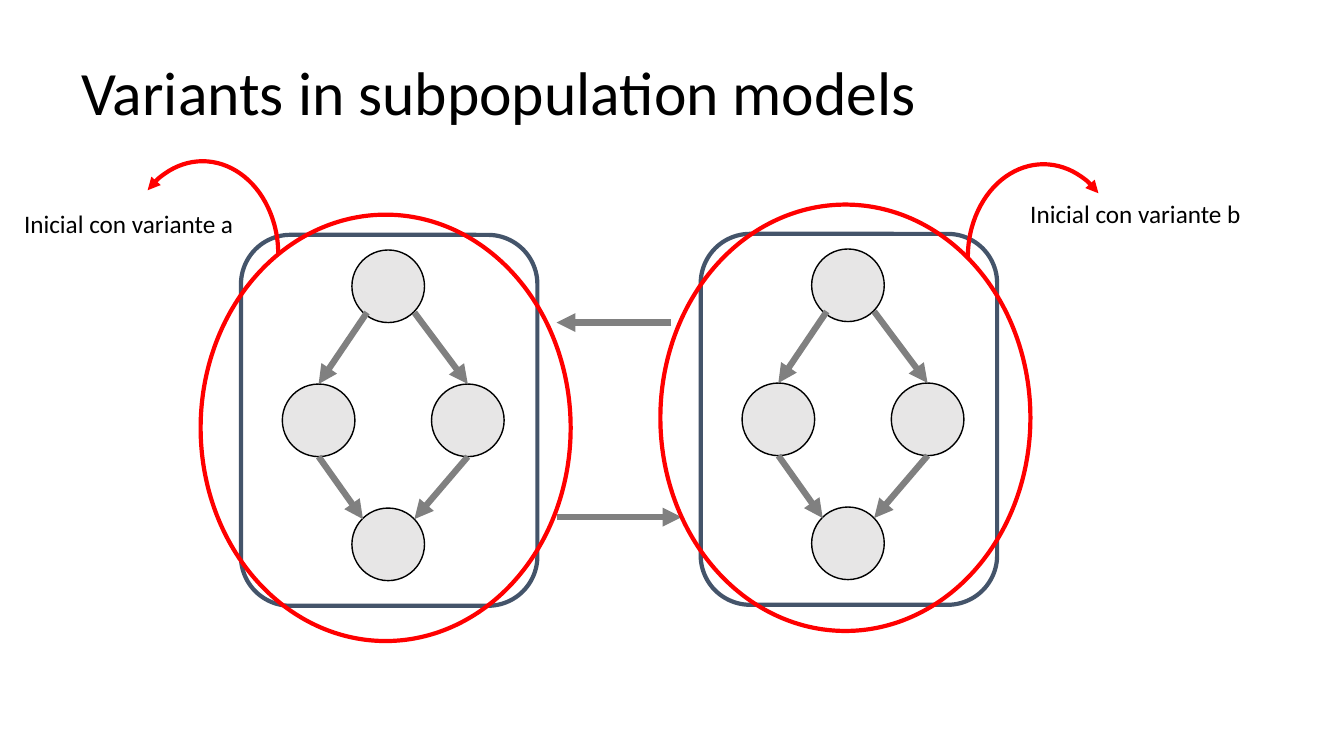
"""Build a slide of two linked subpopulation models with their variants."""
from lxml import etree
from pptx import Presentation
from pptx.dml.color import RGBColor
from pptx.enum.shapes import MSO_CONNECTOR, MSO_SHAPE
from pptx.enum.text import MSO_ANCHOR
from pptx.oxml.ns import qn
from pptx.util import Inches, Pt

COLORS = {"text": "000000", "box": "44546A", "node": "E7E6E6",
          "arrow": "808080", "variant": "FF0000", "white": "FFFFFF"}
NODE = 0.72


class Deck:
    def __init__(self, slide, font="Calibri"):
        self.s = slide
        self.font = font

    def color(self, name):
        return RGBColor.from_string(COLORS[name])

    def text(self, text, x, y, w, h, size, anchor=MSO_ANCHOR.TOP, spacing=1.0):
        tf = self.s.shapes.add_textbox(Inches(x), Inches(y), Inches(w), Inches(h)).text_frame
        tf.word_wrap = True
        tf.vertical_anchor = anchor
        tf.text = text
        p = tf.paragraphs[0]
        p.line_spacing = spacing
        r = p.runs[0]
        r.font.name = self.font
        r.font.size = Pt(size)
        r.font.color.rgb = self.color("text")

    def shape(self, kind, x, y, w, h, line, width, fill=None):
        sp = self.s.shapes.add_shape(kind, Inches(x), Inches(y), Inches(w), Inches(h))
        sp.shadow.inherit = False
        if fill:
            sp.fill.solid()
            sp.fill.fore_color.rgb = self.color(fill)
        else:
            sp.fill.background()
        sp.line.color.rgb = self.color(line)
        sp.line.width = Pt(width)
        return sp

    def node(self, x, y):
        return self.shape(MSO_SHAPE.OVAL, x, y, NODE, NODE, "text", 1, "node")

    def arrow(self, x1, y1, x2, y2, target=None):
        c = self.s.shapes.add_connector(MSO_CONNECTOR.STRAIGHT, Inches(x1), Inches(y1),
                                        Inches(x2), Inches(y2))
        if target is not None:
            c.end_connect(target, 0)
        c.line.color.rgb = self.color("arrow")
        c.line.width = Pt(4.5)
        etree.SubElement(c.line._get_or_add_ln(), qn("a:tailEnd"), type="triangle")
        etree.SubElement(c._element.spPr, qn("a:effectLst"))

    def population(self, x, y):
        self.shape(MSO_SHAPE.ROUNDED_RECTANGLE, x, y, 2.94, 3.68, "box", 3, "white")
        self.node(x + 1.1, y + 0.15)
        self.node(x + 1.1, y + 2.71)
        for node_x, top_x, bottom_x in ((0.41, 1.25, 1.21), (1.89, 1.72, 1.72)):
            middle = self.node(x + node_x, y + 1.48)
            center = x + node_x + NODE / 2
            self.arrow(x + top_x, y + 0.77, center, y + 1.48, middle)
            self.arrow(center, y + 2.2, x + bottom_x, y + 2.82)

    def variant(self, x, y, arc_x, arc_y, flip=False):
        self.shape(MSO_SHAPE.OVAL, x, y, 3.67, 4.23, "variant", 3)
        arc = self.shape(MSO_SHAPE.ARC, arc_x, arc_y, 1.5, 1.84, "variant", 3)
        arc.adjustments[0] = 137.53
        arc.adjustments[1] = 0
        etree.SubElement(arc.line._get_or_add_ln(), qn("a:headEnd"), type="triangle")
        if flip:
            arc._element.spPr.find(qn("a:xfrm")).set("flipH", "1")


def main():
    prs = Presentation()
    prs.slide_width, prs.slide_height = Inches(13.33), Inches(7.5)
    deck = Deck(prs.slides.add_slide(prs.slide_layouts[6]))
    deck.text("Variants in subpopulation models", 0.71, 0.22, 11.5, 1.45, 44,
              MSO_ANCHOR.MIDDLE, 0.9)
    deck.population(2.39, 2.33)
    deck.population(6.95, 2.32)
    deck.arrow(5.52, 5.13, 6.76, 5.13)
    deck.arrow(6.66, 3.2, 5.52, 3.2)
    deck.variant(1.99, 2.13, 1.26, 1.6)
    deck.variant(6.55, 2.03, 9.6, 1.63, flip=True)
    deck.text("Inicial con variante a", 0.14, 2.02, 2.76, 0.4, 18)
    deck.text("Inicial con variante b", 10.12, 1.92, 2.76, 0.4, 18)
    prs.save("out.pptx")


if __name__ == "__main__":
    main()
